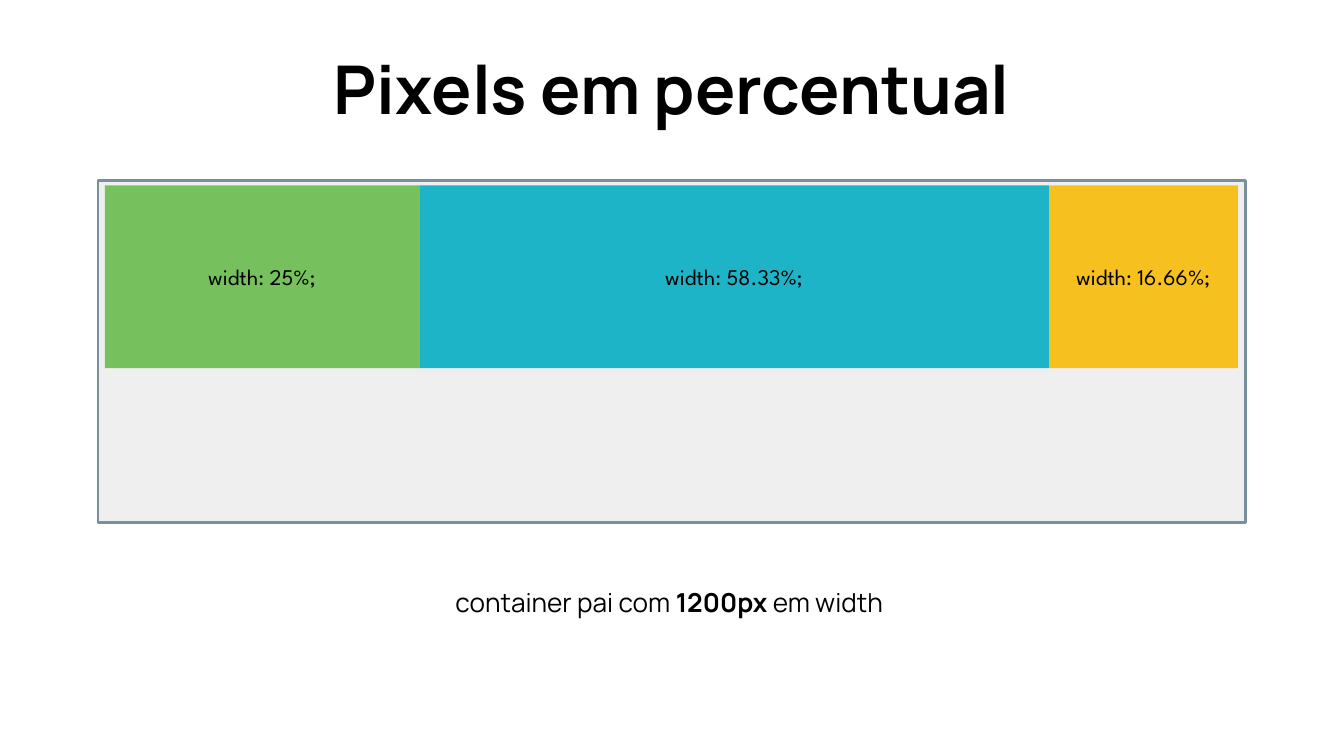
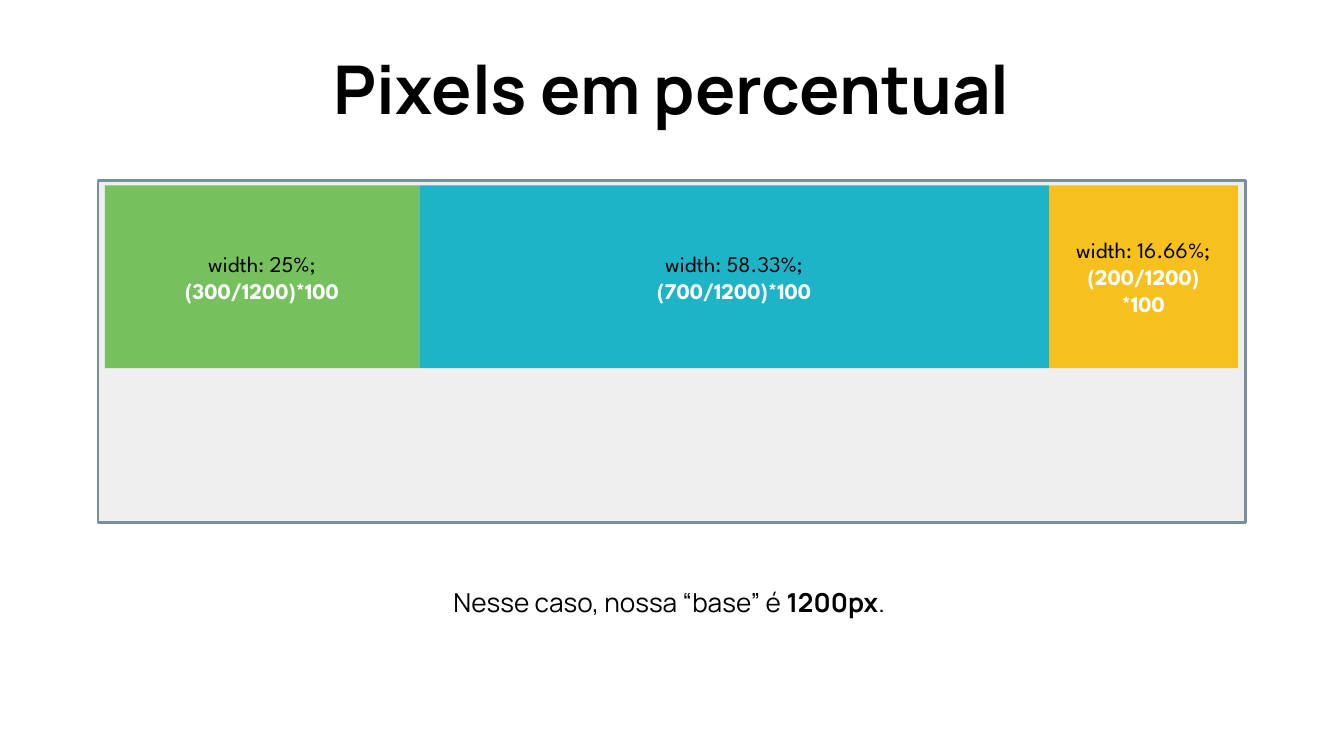
import pptx
import pptx.util
import pptx.dml.color
import pptx.enum.shapes
import pptx.enum.text
from dataclasses import dataclass
from lxml import etree


@dataclass(frozen=True)
class Theme:
    width: float = 10
    height: float = 10 * 9 / 16
    ink: str = "000000"
    light: str = "FFFFFF"
    panel: str = "EFEFEF"
    edge: str = "78909C"
    bars: tuple = ("65BB48", "00ACC3", "F8BB00")
    alpha: int = 87
    head: str = "Manrope"
    label: str = "League Spartan"
    big: int = 36
    mid: int = 14
    small: int = 12


THEME = Theme()

# Boxes: left, top, width, height in inches
TITLE = (1.91, 0.35, 6.18, 0.61)
PANEL = (0.73, 1.34, 8.54, 2.55)
NOTE = (2.06, 4.26, 5.84, 0.46)

# The bars share a row of 18 columns inside the panel
SPANS = (5, 10, 3)
PAD_X, PAD_Y = 0.05, 0.04
ROW_W, ROW_H = 8.43, 1.36

HEADING = "Pixels em percentual"
WIDTHS = ("width: 25%;", "width: 58.33%;", "width: 16.66%;")
SUMS = (["(300/1200)*100"], ["(700/1200)*100"], ["(200/1200)", "*100"])
SLIDES = (
    ([[], [], []],
     [("container pai com ", False), ("1200px ", True), ("em width", False)]),
    (SUMS,
     [("Nesse caso, nossa “base” é ", False), ("1200px", True), (".", False)]),
)


def color(code):
    return pptx.dml.color.RGBColor.from_string(code)


def inches(box):
    return [pptx.util.Inches(length) for length in box]


def set_frame(frame, middle=True):
    """Give a text frame equal insets, wrapping and its anchor."""
    anchor = pptx.enum.text.MSO_ANCHOR
    frame.word_wrap = True
    frame.auto_size = pptx.enum.text.MSO_AUTO_SIZE.NONE
    frame.vertical_anchor = anchor.MIDDLE if middle else anchor.TOP
    frame.margin_left = frame.margin_right = pptx.util.Inches(0.1)
    frame.margin_top = frame.margin_bottom = pptx.util.Inches(0.1)


def set_font(para, face, size, tint=THEME.ink, bold=None):
    para.alignment = pptx.enum.text.PP_ALIGN.CENTER
    para.font.name = face
    para.font.size = pptx.util.Pt(size)
    para.font.color.rgb = color(tint)
    para.font.bold = bold


def add_rect(slide, box, fill):
    kind = pptx.enum.shapes.MSO_SHAPE.RECTANGLE
    rect = slide.shapes.add_shape(kind, *inches(box))
    rect.shadow.inherit = False
    rect.fill.solid()
    rect.fill.fore_color.rgb = color(fill)
    rect.line.fill.background()
    return rect


def fade(shape, share):
    """Make a solid fill partly clear."""
    tint = shape.fill._xPr.find(".//" + pptx.oxml.ns.qn("a:srgbClr"))
    alpha = etree.SubElement(tint, pptx.oxml.ns.qn("a:alpha"))
    alpha.set("val", str(share * 1000))


def add_bar(slide, box, fill, width, sums):
    bar = add_rect(slide, box, fill)
    fade(bar, THEME.alpha)
    frame = bar.text_frame
    set_frame(frame)
    frame.text = "\n".join([width, *sums])
    first, *rest = frame.paragraphs
    set_font(first, THEME.label, THEME.small)
    for para in rest:
        set_font(para, THEME.label, THEME.small, THEME.light, True)


def add_panel(slide, box, sums):
    left, top, _, _ = box
    panel = add_rect(slide, box, THEME.panel)
    panel.line.color.rgb = color(THEME.edge)
    panel.line.width = pptx.util.Pt(1.5)

    # Bars side by side
    col = ROW_W / sum(SPANS)
    x = left + PAD_X
    for span, fill, width, lines in zip(SPANS, THEME.bars, WIDTHS, sums):
        add_bar(slide, (x, top + PAD_Y, span * col, ROW_H), fill, width, lines)
        x += span * col


def add_title(slide, box, text):
    title = slide.shapes.title
    title.left, title.top, title.width, title.height = inches(box)
    set_frame(title.text_frame)
    title.text_frame.text = text
    set_font(title.text_frame.paragraphs[0], THEME.head, THEME.big, bold=True)


def add_note(slide, box, parts):
    frame = slide.shapes.add_textbox(*inches(box)).text_frame
    set_frame(frame, middle=False)
    para = frame.paragraphs[0]
    set_font(para, THEME.head, THEME.mid)
    for text, bold in parts:
        run = para.add_run()
        run.text = text
        run.font.bold = bold


def add_page(deck, sums, note):
    slide = deck.slides.add_slide(deck.slide_layouts[5])
    add_panel(slide, PANEL, sums)
    add_title(slide, TITLE, HEADING)
    add_note(slide, NOTE, note)


def main():
    deck = pptx.Presentation()
    deck.slide_width, deck.slide_height = inches((THEME.width, THEME.height))
    for sums, note in SLIDES:
        add_page(deck, sums, note)
    deck.save("out.pptx")


if __name__ == "__main__":
    main()
